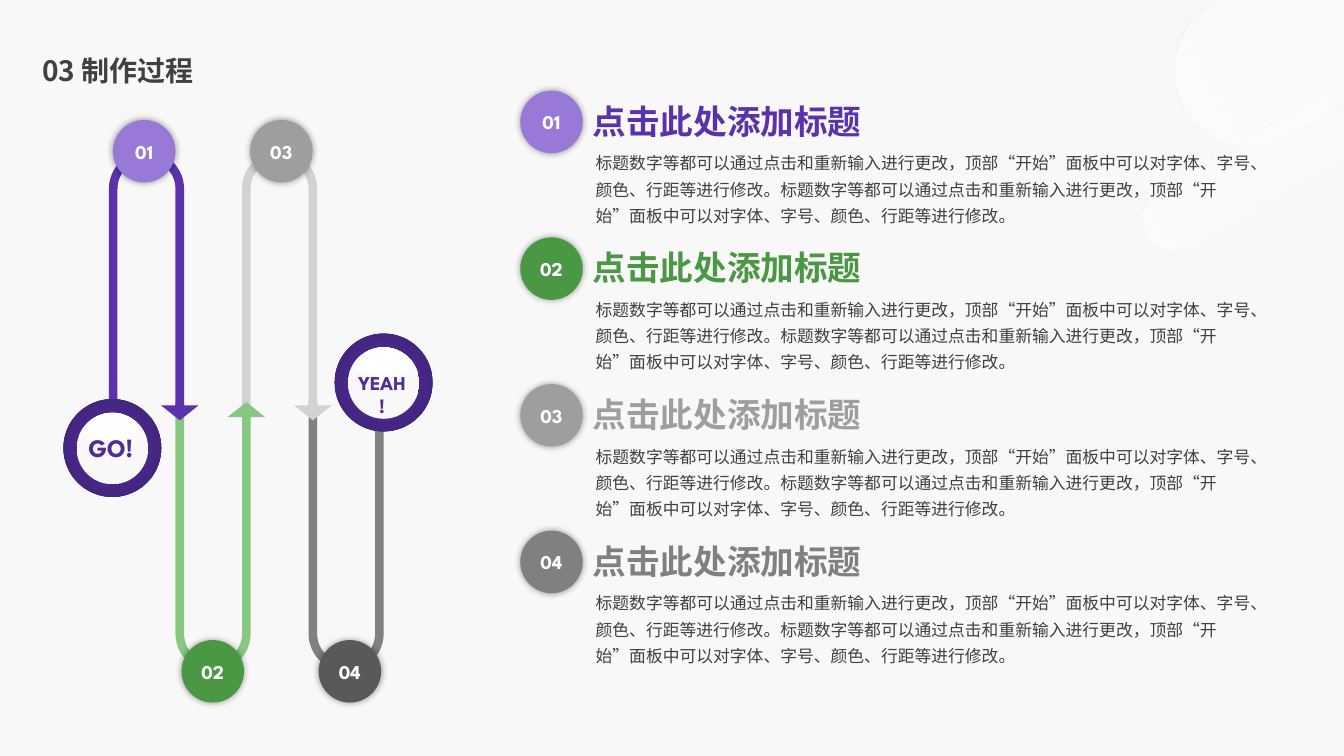
from dataclasses import dataclass
from lxml import etree
from pptx import Presentation
from pptx import util as u
from pptx.dml.color import RGBColor
from pptx.enum import shapes as sh, text as tx
from pptx.oxml import parse_xml
from pptx.oxml.ns import nsdecls, qn


@dataclass(frozen=True)
class Theme:
    """Colours, fonts and type sizes."""
    back: str = "F8F8F8"
    ink: str = "404040"
    white: str = "FFFFFF"
    deep: str = "512C98"
    arrows: tuple = ("5B32AB", "87C782", "D2D2D2", "808080")
    stops: tuple = ("9979D8", "4A9744", "9E9E9E", "595959")
    dots: tuple = ("9979D8", "4A9744", "9E9E9E", "808080")
    heads: tuple = ("5B32AB", "4A9744", "9E9E9E", "808080")
    rim: tuple = ((0, "512C98", 100), (23, "512C98", 100),
                  (69, "442580", 100), (97, "402378", 100))
    core: tuple = ((0, "FFFFFF", 100), (35, "FFFFFF", 100), (100, "F8F8F8", 100))
    haze: tuple = ((0, "FFFFFF", 50), (21, "FFFFFF", 29),
                   (85, "FFFFFF", 0), (100, "FFFFFF", 0))
    latin: str = "League Spartan"
    han: str = "Noto Sans CJK SC"
    title: int = 20
    head: int = 24
    body: int = 12
    label: int = 14
    go: int = 18


@dataclass(frozen=True)
class Box:
    """A box in grid cells, ten to the inch."""
    x: float
    y: float
    w: float
    h: float

    def sub(self, x, y, w, h):
        """Return a box placed relative to this one."""
        return Box(self.x + x, self.y + y, w, h)

    def emu(self):
        """Return left, top, width and height as lengths."""
        return [u.Inches(v / 10) for v in (self.x, self.y, self.w, self.h)]


T = Theme()
KIND = sh.MSO_SHAPE
MID = tx.PP_ALIGN.CENTER
HEAD = "点击此处添加标题"
BODY = "标题数字等都可以通过点击和重新输入进行更改，顶部“开始”面板中可以对字体、字号、颜色、行距等进行修改。" * 2
CIRCLE = '<a:path path="circle"><a:fillToRect l="{}" t="{}" r="{}" b="{}"/></a:path>'


def draw(parts, kind, box, fill=None):
    """Add a preset shape without line or shadow."""
    item = parts.add_shape(kind, *box.emu())
    item.shadow.inherit = False
    item.line.fill.background()
    if fill:
        item.fill.solid()
        item.fill.fore_color.rgb = RGBColor.from_string(fill)
    return item


def blend(item, stops, way):
    """Fill a shape with a gradient."""
    marks = "".join(
        f'<a:gs pos="{pos * 1000}"><a:srgbClr val="{tint}">'
        f'<a:alpha val="{solid * 1000}"/></a:srgbClr></a:gs>'
        for pos, tint, solid in stops)
    grad = parse_xml(f'<a:gradFill {nsdecls("a")} rotWithShape="1">'
                     f'<a:gsLst>{marks}</a:gsLst>{way}</a:gradFill>')
    item._element.spPr.find(qn("a:prstGeom")).addnext(grad)


def write(item, words, size, tint, bold=True, font=T.latin, align=None):
    """Put one styled paragraph into a shape."""
    para = item.text_frame.paragraphs[0]
    para.text = words
    if align is not None:
        para.alignment = align
    face = para.font
    face.size, face.bold, face.name = u.Pt(size), bold, font
    face.color.rgb = RGBColor.from_string(tint)
    etree.SubElement(face._element, qn("a:ea"), typeface=T.han)
    return para


def label(parts, box, words, size, tint, wrap=True, **style):
    """Add a text box."""
    item = parts.add_textbox(*box.emu())
    item.text_frame.word_wrap = wrap
    return item, write(item, words, size, tint, **style)


def badge(parts, box, num, fill):
    """Draw a numbered disc with a soft shadow."""
    disc = draw(parts, KIND.OVAL, box, fill)
    glow = disc._element.spPr.find(qn("a:effectLst"))
    glow.append(parse_xml(
        f'<a:outerShdw {nsdecls("a")} blurRad="63500" dist="0" algn="ctr" rotWithShape="0">'
        '<a:srgbClr val="000000"><a:alpha val="40000"/></a:srgbClr></a:outerShdw>'))
    disc.text_frame.vertical_anchor = tx.MSO_ANCHOR.MIDDLE
    disc.text_frame.word_wrap = False
    write(disc, f"{num:02d}", T.label, T.white, align=MID)


def backdrop(slide):
    """Draw the pale slanted capsules in the corner."""
    slide.background.fill.solid()
    slide.background.fill.fore_color.rgb = RGBColor.from_string(T.back)
    for box in (Box(109.6, -26.5, 118.7, 15.1), Box(110.2, 6.8, 52.7, 6.7)):
        pill = draw(slide.shapes, KIND.ROUNDED_RECTANGLE, box)
        pill.adjustments[0] = 0.5
        pill.rotation = 330
        blend(pill, T.haze, '<a:lin ang="0" scaled="0"/>')


def title(slide, box):
    """Write the slide title."""
    item, para = label(slide.shapes, box, "03 制作过程", T.title, T.ink, font=T.han)
    item.text_frame.vertical_anchor = tx.MSO_ANCHOR.MIDDLE
    para.line_spacing = 0.9
    para.space_before = u.Pt(10)


def ring(slide, box, words, size):
    """Draw a ringed milestone."""
    parts = slide.shapes.add_group_shape().shapes
    rim = draw(parts, KIND.OVAL, box)
    blend(rim, T.rim, CIRCLE.format(*[50000] * 4))
    core = draw(parts, KIND.OVAL, box.sub(1.3, 1.35, 7.1, 7.1))
    blend(core, T.core, CIRCLE.format(50000, -80000, 50000, 180000))
    tall = size * 0.2 + 0.5
    label(parts, box.sub(1.1, (box.h - tall) / 2, 7.2, tall), words, size,
          T.deep, wrap=False, align=MID)


def track(slide, box):
    """Draw the winding track, its stops and both ends."""
    for i in reversed(range(4)):
        turn = draw(slide.shapes, KIND.U_TURN_ARROW,
                    box.sub(4.5 + 6.6 * i, 3.1 + 24.9 * (i % 2), 8.9, 26.7), T.arrows[i])
        for k, share in enumerate((0.096, 0.21, 0.167, 0.438, 1)):
            turn.adjustments[k] = share
        if i % 2:
            turn._element.spPr.find(qn("a:xfrm")).set("flipV", "1")
    for i, fill in enumerate(T.stops):
        badge(slide.shapes, box.sub(4.9 + 6.8 * i, 51.6 * (i % 2), 6.2, 6.2), i + 1, fill)
    ring(slide, box.sub(0, 27.7, 9.7, 9.7), "GO!", T.go)
    ring(slide, box.sub(26.9, 21.2, 9.7, 9.7), "YEAH!", T.label)


def step(slide, box, i):
    """Write one numbered step with heading and text."""
    para = label(slide.shapes, box.sub(6.5, 5.1, 68.4, 8.9), BODY, T.body, T.ink,
                 bold=False, font=T.han)[1]
    para.line_spacing = 1.3
    parts = slide.shapes.add_group_shape().shapes
    label(parts, box.sub(6.2, 0.5, 28.9, 5), HEAD, T.head, T.heads[i], wrap=False)
    badge(parts, box.sub(0, 0, 6.2, 6.2), i + 1, T.dots[i])


def main():
    """Build and save the slide."""
    deck = Presentation()
    deck.slide_width, deck.slide_height = u.Inches(13.33), u.Inches(7.5)
    slide = deck.slides.add_slide(deck.slide_layouts[6])
    backdrop(slide)
    title(slide, Box(3.2, 4.3, 49.9, 5.8))
    track(slide, Box(6.3, 11.9, 36.6, 57.8))
    for i in range(4):
        step(slide, Box(51.6, 9 + 14.55 * i, 74.9, 14), i)
    deck.save("out.pptx")


if __name__ == "__main__":
    main()
